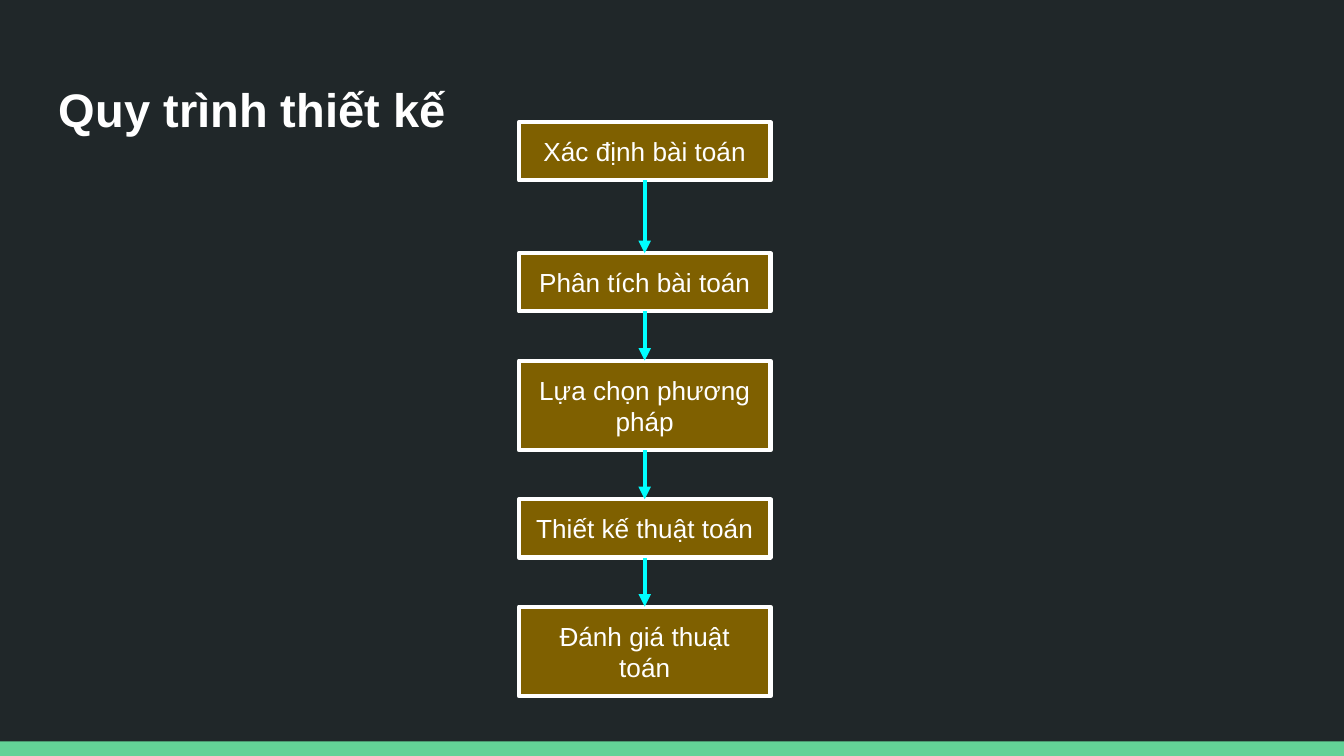
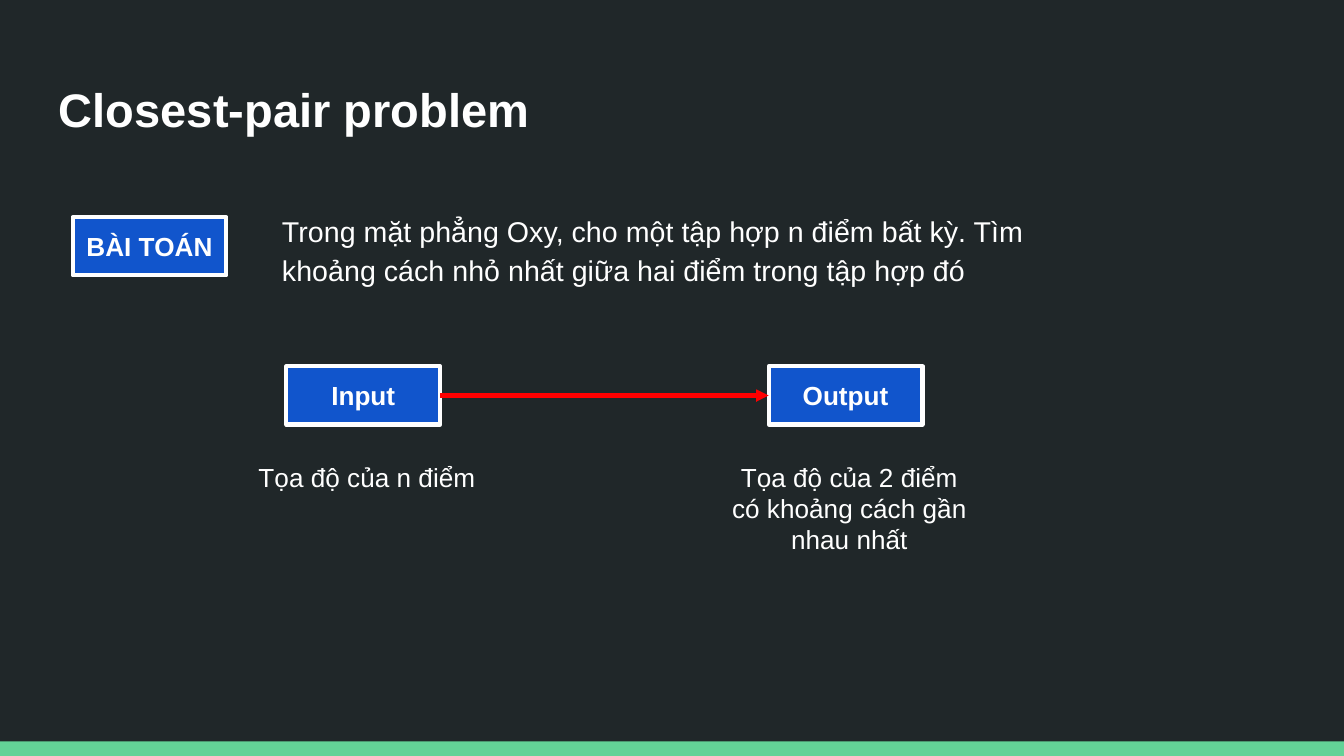
from lxml import etree
from pptx import Presentation
from pptx.dml.color import RGBColor
from pptx.enum import shapes, text
from pptx.oxml.ns import qn
from pptx.util import Pt

# Content
DESIGN_TITLE = "Quy trình thiết kế"
DESIGN_STEPS = [  # wording, number of lines
    ("Xác định bài toán", 1),
    ("Phân tích bài toán", 1),
    ("Lựa chọn phương pháp", 2),
    ("Thiết kế thuật toán", 1),
    ("Đánh giá thuật toán", 2),
]
PROBLEM_TITLE = "Closest-pair problem"
PROBLEM_LABEL = "BÀI TOÁN"
PROBLEM_STATEMENT = ("Trong mặt phẳng Oxy, cho một tập hợp n điểm bất kỳ. "
                     "Tìm khoảng cách nhỏ nhất giữa hai điểm trong tập hợp đó")
PROBLEM_ENDS = [  # label, description, number of lines, left
    ("Input", "Tọa độ của n điểm", 1, 153.4),
    ("Output", "Tọa độ của 2 điểm có khoảng cách gần nhau nhất", 3, 411.8),
]

# Style
FONT = "Arial"
BACKGROUND = RGBColor(0x20, 0x27, 0x29)
GREEN = RGBColor(0x63, 0xD2, 0x97)
BROWN = RGBColor(0x7F, 0x60, 0x00)
BLUE = RGBColor(0x11, 0x55, 0xCC)
CYAN = RGBColor(0x00, 0xFF, 0xFF)
RED = RGBColor(0xFF, 0x00, 0x00)
WHITE = RGBColor(0xFF, 0xFF, 0xFF)

# Layout, in points
SLIDE_W, SLIDE_H = 720, 405
BAND_H = 7.8
INSET = 7.2
STROKE = 2.25
LINE_H = 16.8
STEP_LEFT, STEP_TOP, STEP_W = 278, 65.5, 134.8
STEP_GAPS = [39, 26.3, 26.3, 26.3]
LABEL_W = 82.4
ENDS_TOP = 196.3
NOTE_W, NOTE_TOP = 145.4, 239.8

TOP, MIDDLE, BOTTOM = (text.MSO_ANCHOR.TOP, text.MSO_ANCHOR.MIDDLE,
                       text.MSO_ANCHOR.BOTTOM)


def height_for(lines):
    return lines * LINE_H + 2 * INSET


def write(shape, wording, size=14, bold=False, align=text.PP_ALIGN.CENTER,
          anchor=TOP, fit=False):
    frame = shape.text_frame
    frame.word_wrap = True
    frame.auto_size = (text.MSO_AUTO_SIZE.SHAPE_TO_FIT_TEXT if fit
                       else text.MSO_AUTO_SIZE.NONE)
    frame.vertical_anchor = anchor
    frame.margin_left = frame.margin_right = Pt(INSET)
    frame.margin_top = frame.margin_bottom = Pt(INSET)
    paragraph = frame.paragraphs[0]
    paragraph.alignment = align
    run = paragraph.add_run()
    run.text = wording
    run.font.name = FONT
    run.font.size = Pt(size)
    run.font.bold = bold
    run.font.color.rgb = WHITE
    return paragraph


def add_note(slide, wording, left, top, width, height, **style):
    note = slide.shapes.add_textbox(Pt(left), Pt(top), Pt(width), Pt(height))
    return write(note, wording, **style)


def add_rectangle(slide, left, top, width, height, fill):
    rectangle = slide.shapes.add_shape(shapes.MSO_SHAPE.RECTANGLE, Pt(left),
                                       Pt(top), Pt(width), Pt(height))
    rectangle.shadow.inherit = False
    rectangle.fill.solid()
    rectangle.fill.fore_color.rgb = fill
    rectangle.line.fill.background()
    return rectangle


def add_label(slide, wording, left, top, width, fill, lines=1, bold=False):
    """Add a white-framed box that holds the given number of lines."""
    label = add_rectangle(slide, left, top, width, height_for(lines), fill)
    label.line.color.rgb = WHITE
    label.line.width = Pt(STROKE)
    write(label, wording, bold=bold, anchor=MIDDLE, fit=True)
    return label


def add_arrow(slide, start, start_site, end, end_site, color):
    arrow = slide.shapes.add_connector(shapes.MSO_CONNECTOR.STRAIGHT, 0, 0, 0, 0)
    arrow.begin_connect(start, start_site)
    arrow.end_connect(end, end_site)
    arrow.line.color.rgb = color
    arrow.line.width = Pt(STROKE)
    etree.SubElement(arrow.line._get_or_add_ln(), qn("a:tailEnd"), type="triangle")
    etree.SubElement(arrow._element.spPr, qn("a:effectLst"))


def add_titled_slide(prs, title):
    slide = prs.slides.add_slide(prs.slide_layouts[6])
    slide.background.fill.solid()
    slide.background.fill.fore_color.rgb = BACKGROUND
    add_rectangle(slide, 0, SLIDE_H - BAND_H, SLIDE_W, BAND_H, GREEN)
    add_note(slide, title, 24.5, 35.3, 671, 45.4, size=25.2, bold=True,
             align=text.PP_ALIGN.LEFT, anchor=BOTTOM)
    return slide


def build_design_process(prs):
    slide = add_titled_slide(prs, DESIGN_TITLE)
    steps = []
    top = STEP_TOP
    for (wording, lines), gap in zip(DESIGN_STEPS, STEP_GAPS + [0]):
        steps.append(add_label(slide, wording, STEP_LEFT, top, STEP_W, BROWN, lines))
        top += height_for(lines) + gap
    for step, following in zip(steps, steps[1:]):
        add_arrow(slide, step, 2, following, 0, CYAN)


def build_closest_pair(prs):
    slide = add_titled_slide(prs, PROBLEM_TITLE)
    statement = add_note(slide, PROBLEM_STATEMENT, 144, 104.4, 412.6, 54,
                         size=15.3, align=text.PP_ALIGN.LEFT)
    statement.line_spacing = 1.15
    statement.space_after = Pt(12)
    add_label(slide, PROBLEM_LABEL, 38.9, 116.4, LABEL_W, BLUE, bold=True)
    ends = []
    for label, description, lines, left in PROBLEM_ENDS:
        ends.append(add_label(slide, label, left, ENDS_TOP, LABEL_W, BLUE, bold=True))
        note_left = left + 2 + (LABEL_W - NOTE_W) / 2
        add_note(slide, description, note_left, NOTE_TOP, NOTE_W,
                 height_for(lines), fit=True)
    source, result = ends
    add_arrow(slide, source, 3, result, 1, RED)


def main():
    prs = Presentation()
    prs.slide_width, prs.slide_height = Pt(SLIDE_W), Pt(SLIDE_H)
    build_design_process(prs)
    build_closest_pair(prs)
    prs.save("out.pptx")


if __name__ == "__main__":
    main()
